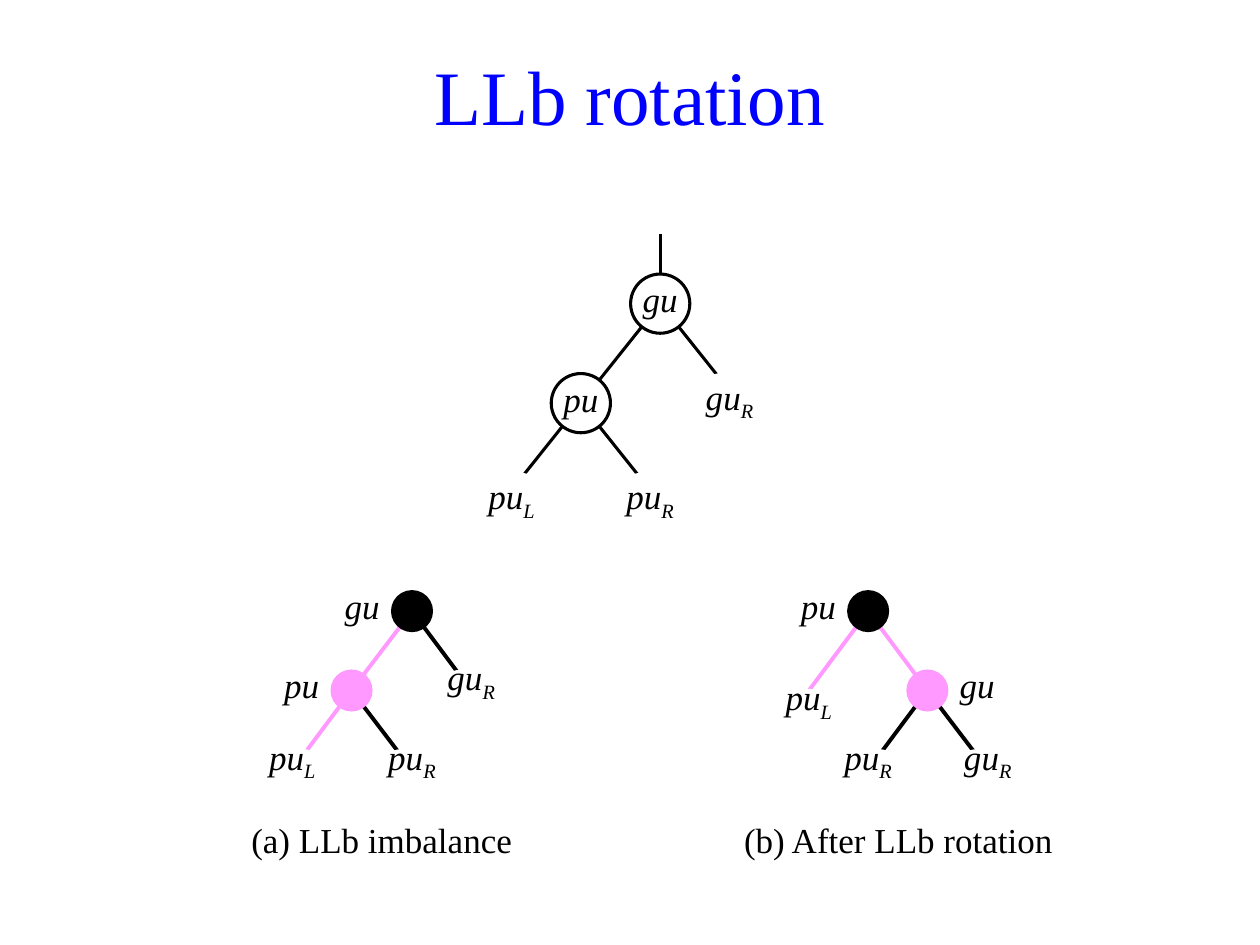
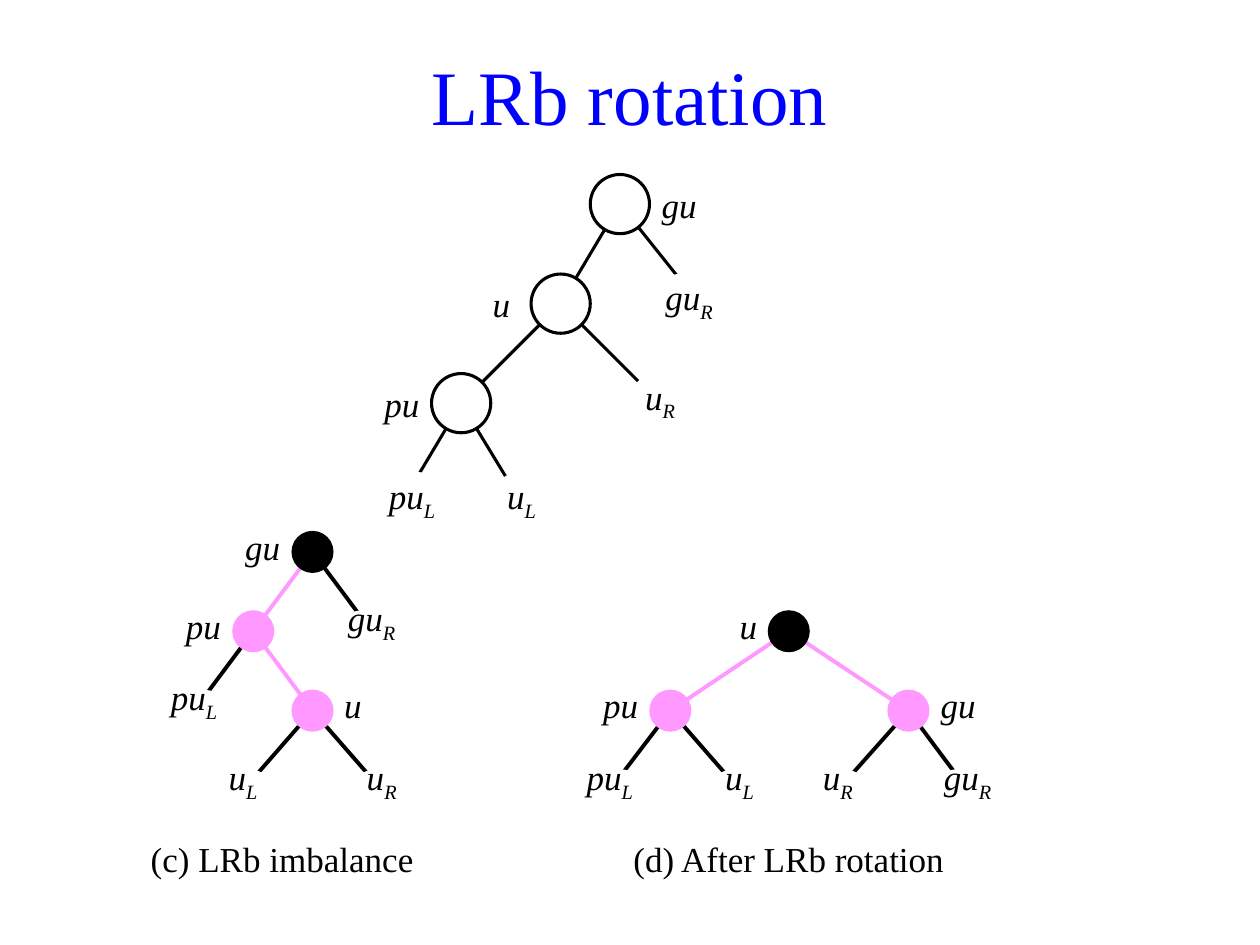
"""Build two slides showing the LLb and LRb rotations of red-black trees."""
from dataclasses import dataclass, field

from lxml.etree import SubElement
from pptx import Presentation
from pptx.dml.color import RGBColor
from pptx.enum.shapes import MSO_CONNECTOR as Connector, MSO_SHAPE as Preset
from pptx.enum.text import MSO_ANCHOR as Anchor, PP_ALIGN as Align
from pptx.oxml.ns import qn
from pptx.util import Inches, Pt


@dataclass(frozen=True)
class Theme:
    font: str = "Times New Roman"
    white: RGBColor = RGBColor(0xFF, 0xFF, 0xFF)
    black: RGBColor = RGBColor(0x00, 0x00, 0x00)
    red: RGBColor = RGBColor(0xFF, 0x99, 0xFF)
    title_color: RGBColor = RGBColor(0x00, 0x00, 0xFF)
    title_size: int = 44
    body_size: int = 20
    subscript: str = "-25000"
    leaf_outline: float = 1.75


THEME = Theme()


@dataclass(frozen=True)
class TreeStyle:
    diameter: float
    edge_width: float
    node_outline: float
    hollow: bool
    label_anchor: Anchor


OPEN = TreeStyle(0.47, 1.75, 1.75, True, Anchor.MIDDLE)
SOLID = TreeStyle(0.32, 2.25, 1, False, Anchor.BOTTOM)


@dataclass
class Leaf:
    name: str
    x: float
    y: float
    color: RGBColor = THEME.black
    shift_x: float = 0
    shift_y: float = 0


@dataclass
class Node:
    name: str
    x: float
    y: float
    side: str
    color: RGBColor = THEME.black
    children: list = field(default_factory=list)


def box(left, top, width, height):
    return [Inches(length) for length in (left, top, width, height)]


def centered_box(x, y, width, height):
    return box(x - width / 2, y - height / 2, width, height)


def write_text(shape, text, subscript="", italic=False, size=THEME.body_size,
               color=THEME.black, anchor=Anchor.MIDDLE, wrap=False, bottom=None):
    frame = shape.text_frame
    frame_format = {"word_wrap": wrap, "vertical_anchor": anchor}
    if bottom is not None:
        frame_format.update(margin_left=0, margin_right=0, margin_top=0,
                            margin_bottom=Inches(bottom))
    for name, value in frame_format.items():
        setattr(frame, name, value)
    paragraph = frame.paragraphs[0]
    paragraph.alignment = Align.CENTER
    font_format = {"name": THEME.font, "size": Pt(size), "italic": italic}
    for part, baseline in ((text, None), (subscript, THEME.subscript)):
        if not part:
            continue
        run = paragraph.add_run()
        run.text = part
        for name, value in font_format.items():
            setattr(run.font, name, value)
        run.font.color.rgb = color
        if baseline:
            run._r.get_or_add_rPr().set("baseline", baseline)


def add_text(slide, text, position, **text_format):
    write_text(slide.shapes.add_textbox(*position), text, **text_format)


def add_ellipse(slide, position, fill, outline, width):
    shape = slide.shapes.add_shape(Preset.OVAL, *position)
    shape.shadow.inherit = False
    shape.fill.solid()
    shape.fill.fore_color.rgb = fill
    shape.line.color.rgb = outline
    shape.line.width = Pt(width)
    return shape


def add_edge(slide, start, end, color, width):
    points = [Inches(length) for length in (*start, *end)]
    connector = slide.shapes.add_connector(Connector.STRAIGHT, *points)
    connector.line.color.rgb = color
    connector.line.width = Pt(width)
    SubElement(connector._element.spPr, qn("a:effectLst"))
    return connector


def add_leaf(slide, leaf, style):
    name, subscript = leaf.name[:-1], leaf.name[-1]
    width = 0.47 if name == "u" else 0.63
    position = centered_box(leaf.x + leaf.shift_x, leaf.y + leaf.shift_y, width, style.diameter)
    shape = add_ellipse(slide, position, THEME.white, THEME.white, THEME.leaf_outline)
    write_text(shape, name, subscript, italic=True, anchor=Anchor.BOTTOM, bottom=0.01)


def add_node(slide, node, style):
    size = style.diameter
    fill = THEME.white if style.hollow else node.color
    shape = add_ellipse(slide, centered_box(node.x, node.y, size, size),
                        fill, node.color, style.node_outline)
    if node.side == "inside":
        write_text(shape, node.name, italic=True, anchor=Anchor.BOTTOM, bottom=0.04)
        return shape
    width = size if node.name == "u" else 0.47
    offset = (size + width) / 2 * (1 if node.side == "right" else -1)
    bottom = 0.04 if style.label_anchor == Anchor.BOTTOM else 0
    add_text(slide, node.name, centered_box(node.x + offset, node.y, width, size),
             italic=True, anchor=style.label_anchor, bottom=bottom)
    return shape


def walk(node):
    yield node
    for child in node.children:
        if isinstance(child, Node):
            yield from walk(child)


def add_tree(slide, root, style):
    nodes = list(walk(root))
    for node in nodes:
        for child in node.children:
            add_edge(slide, (node.x, node.y), (child.x, child.y), child.color, style.edge_width)
    for node in nodes:
        for child in node.children:
            if isinstance(child, Leaf):
                add_leaf(slide, child, style)
    return [add_node(slide, node, style) for node in nodes]


def add_titled_slide(presentation, title):
    slide = presentation.slides.add_slide(presentation.slide_layouts[6])
    slide.background.fill.solid()
    slide.background.fill.fore_color.rgb = THEME.white
    add_text(slide, title, box(0.43, 0.28, 9.14, 0.94), wrap=True,
             size=THEME.title_size, color=THEME.title_color)
    return slide


def add_llb_slide(presentation):
    slide = add_titled_slide(presentation, "LLb rotation")
    general = Node("gu", 5.24, 2.41, "inside", children=[
        Node("pu", 4.61, 3.2, "inside", children=[
            Leaf("puL", 3.98, 3.99, shift_x=0.08),
            Leaf("puR", 5.24, 3.99, shift_x=-0.08)]),
        Leaf("guR", 5.87, 3.2, shift_x=-0.08)])
    imbalance = Node("gu", 3.27, 4.85, "left", children=[
        Node("pu", 2.79, 5.48, "left", THEME.red, [
            Leaf("puL", 2.32, 6.11, THEME.red),
            Leaf("puR", 3.27, 6.11)]),
        Leaf("guR", 3.74, 5.48)])
    rotated = Node("pu", 6.89, 4.85, "left", children=[
        Leaf("puL", 6.42, 5.48, THEME.red, shift_y=0.16),
        Node("gu", 7.36, 5.48, "right", THEME.red, [
            Leaf("puR", 6.89, 6.11),
            Leaf("guR", 7.84, 6.11)])])
    root = add_tree(slide, general, OPEN)[0]
    stem = add_edge(slide, (5.24, 2.17), (5.24, 1.86), THEME.black, OPEN.edge_width)
    stem.begin_connect(root, 0)
    for tree in (imbalance, rotated):
        add_tree(slide, tree, SOLID)
    add_text(slide, "(a) LLb imbalance", box(1.85, 6.43, 2.36, 0.47))
    add_text(slide, "(b) After LLb rotation", box(5.79, 6.43, 2.68, 0.47))


def add_lrb_slide(presentation):
    slide = add_titled_slide(presentation, "LRb rotation")
    general = Node("gu", 4.92, 1.62, "right", children=[
        Node("u", 4.45, 2.41, "left", children=[
            Node("pu", 3.66, 3.2, "left", children=[
                Leaf("puL", 3.19, 3.99, shift_x=0.08),
                Leaf("uL", 4.14, 3.99)]),
            Leaf("uR", 5.24, 3.2)]),
        Leaf("guR", 5.55, 2.41, shift_x=-0.08)])
    imbalance = Node("gu", 2.48, 4.38, "left", children=[
        Node("pu", 2.01, 5.01, "left", THEME.red, [
            Leaf("puL", 1.54, 5.64),
            Node("u", 2.48, 5.64, "right", THEME.red, [
                Leaf("uL", 1.93, 6.27),
                Leaf("uR", 3.03, 6.27)])]),
        Leaf("guR", 2.95, 5.01)])
    rotated = Node("u", 6.26, 5.01, "left", children=[
        Node("pu", 5.32, 5.64, "left", THEME.red, [
            Leaf("puL", 4.84, 6.27),
            Leaf("uL", 5.87, 6.27)]),
        Node("gu", 7.21, 5.64, "right", THEME.red, [
            Leaf("uR", 6.65, 6.27),
            Leaf("guR", 7.68, 6.27)])])
    for tree, style in ((general, OPEN), (imbalance, SOLID), (rotated, SOLID)):
        add_tree(slide, tree, style)
    add_text(slide, "(c) LRb imbalance", box(1.06, 6.58, 2.36, 0.47))
    add_text(slide, "(d) After LRb rotation", box(4.84, 6.58, 2.84, 0.47))


def main():
    presentation = Presentation()
    presentation.slide_width = Inches(10)
    presentation.slide_height = Inches(7.5)
    add_llb_slide(presentation)
    add_lrb_slide(presentation)
    presentation.save("out.pptx")


if __name__ == "__main__":
    main()
